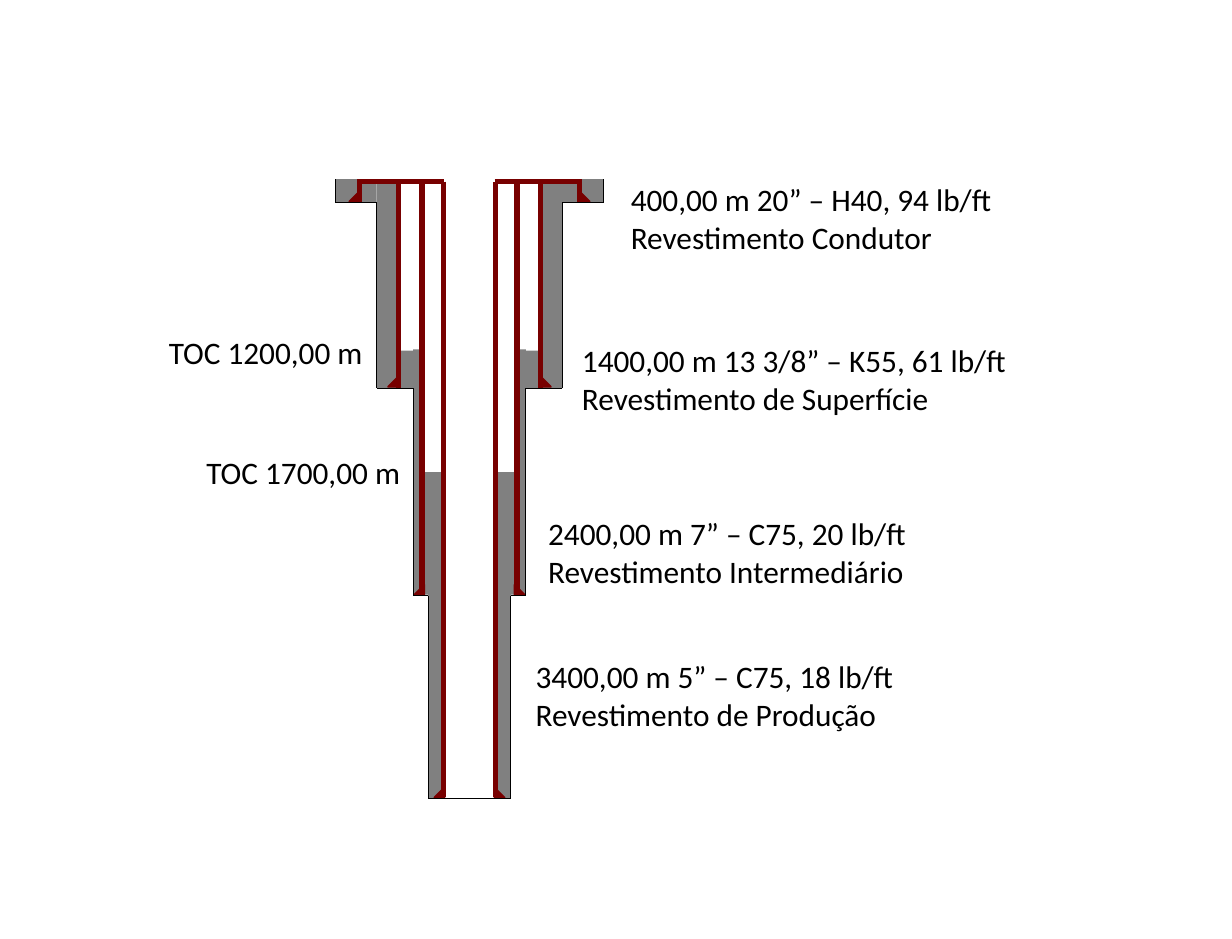
from itertools import pairwise

from lxml import etree
from pptx import Presentation
from pptx.dml.color import RGBColor
from pptx.enum.shapes import MSO_CONNECTOR, MSO_SHAPE
from pptx.enum.text import MSO_AUTO_SIZE
from pptx.oxml.ns import qn
from pptx.util import Emu, Pt

PX = 9144
LINE = MSO_CONNECTOR.STRAIGHT
RECT = MSO_SHAPE.RECTANGLE
SHOE = MSO_SHAPE.RIGHT_TRIANGLE
GROW = MSO_AUTO_SIZE.SHAPE_TO_FIT_TEXT

COLORS = {"cement": "808080", "casing": "780000", "ink": "000000"}
LEFT, RIGHT = -1, 1

CEMENT = [(22, 321, 11, 174), (20, 234, 17, 98), (38, 137, 17, 30),
          (57, 2, 17, 165), (74, 0, 33, 19), (40, 136, 5, 196)]
CASINGS = [(38, 333), (57, 167), (88, 19), (21, 494)]
SHOES = [(88, 10), (57, 158), (36, 324), (20, 486)]
SHOE_SIZE = 8
HEAD = 2
BOREHOLE = [(107, 0), (107, 19), (74, 19), (74, 167),
            (45, 167), (45, 333), (33, 333), (33, 495)]

LABELS = [
    (494, 139, 330, ["400,00 m 20” – H40, 94 lb/ft", "Revestimento Condutor"]),
    (455, 268, 364, ["1400,00 m 13 3/8” – K55, 61 lb/ft", "Revestimento de Superfície"]),
    (428, 406, 310, ["2400,00 m 7” – C75, 20 lb/ft", "Revestimento Intermediário"]),
    (418, 520, 310, ["3400,00 m 5” – C75, 18 lb/ft", "Revestimento de Produção"]),
    (125, 261, 177, ["TOC 1200,00 m"]),
    (155, 357, 177, ["TOC 1700,00 m"]),
]


def px(*values):
    """Turn px lengths into EMU."""
    return [Emu(v * PX) for v in values]


def rgb(name):
    """Look up a named colour."""
    return RGBColor.from_string(COLORS[name])


def add_line(s, x1, y1, x2, y2, color, width):
    """Draw a plain straight line."""
    c = s.shapes.add_connector(LINE, *px(x1, y1, x2, y2))
    c.line.color.rgb = rgb(color)
    c.line.width = Pt(width)
    etree.SubElement(c._element.spPr, qn("a:effectLst"))


def add_block(s, kind, x, y, w, h, color, outline=0, flip=False):
    """Draw a filled shape, outlined in its own colour if asked."""
    sp = s.shapes.add_shape(kind, *px(x, y, w, h))
    sp.shadow.inherit = False
    sp.fill.solid()
    sp.fill.fore_color.rgb = rgb(color)
    if outline:
        sp.line.color.rgb = rgb(color)
        sp.line.width = Pt(outline)
    else:
        sp.line.fill.background()
    if flip:
        sp._element.spPr.xfrm.set("flipH", "1")


def draw_half(s, axis, top, side):
    """Draw one half of the well, measured outward from its axis."""
    def edge(d, w):
        return axis + d if side == RIGHT else axis - d - w

    def line(d1, y1, d2, y2, color, width):
        add_line(s, axis + side * d1, top + y1, axis + side * d2, top + y2, color, width)

    for d, y, w, h in CEMENT:
        add_block(s, RECT, edge(d, w), top + y, w, h, "cement")
    for d, bottom in CASINGS:
        line(d, HEAD, d, bottom, "casing", 3)
    for d, y in SHOES:
        add_block(s, SHOE, edge(d, SHOE_SIZE), top + y, SHOE_SIZE, SHOE_SIZE,
                  "casing", 1, side == LEFT)
    line(20, HEAD, 90, HEAD, "casing", 3)
    for start, end in pairwise(BOREHOLE):
        line(*start, *end, "ink", 0.5)


def draw_well(s, axis, top):
    """Draw both mirrored halves and the bottom of the well."""
    for side in (LEFT, RIGHT):
        draw_half(s, axis, top, side)
    d, depth = BOREHOLE[-1]
    add_line(s, axis - d, top + depth, axis + d, top + depth, "ink", 0.5)


def add_label(s, x, y, w, lines):
    """Write a label of one or two lines."""
    tf = s.shapes.add_textbox(*px(x, y, w, 9 + 31 * len(lines))).text_frame
    tf.word_wrap = False
    tf.auto_size = GROW
    p = tf.paragraphs[0]
    p.text = "\v".join(lines)
    for r in p.runs:
        for key, value in {"name": "Calibri", "size": Pt(18)}.items():
            setattr(r.font, key, value)
        r.font.color.rgb = rgb("ink")


def main():
    """Build the well casing slide."""
    prs = Presentation()
    prs.slide_width, prs.slide_height = px(984, 750)
    s = prs.slides.add_slide(prs.slide_layouts[6])
    draw_well(s, 375, 143)
    for label in LABELS:
        add_label(s, *label)
    prs.save("out.pptx")


if __name__ == "__main__":
    main()
